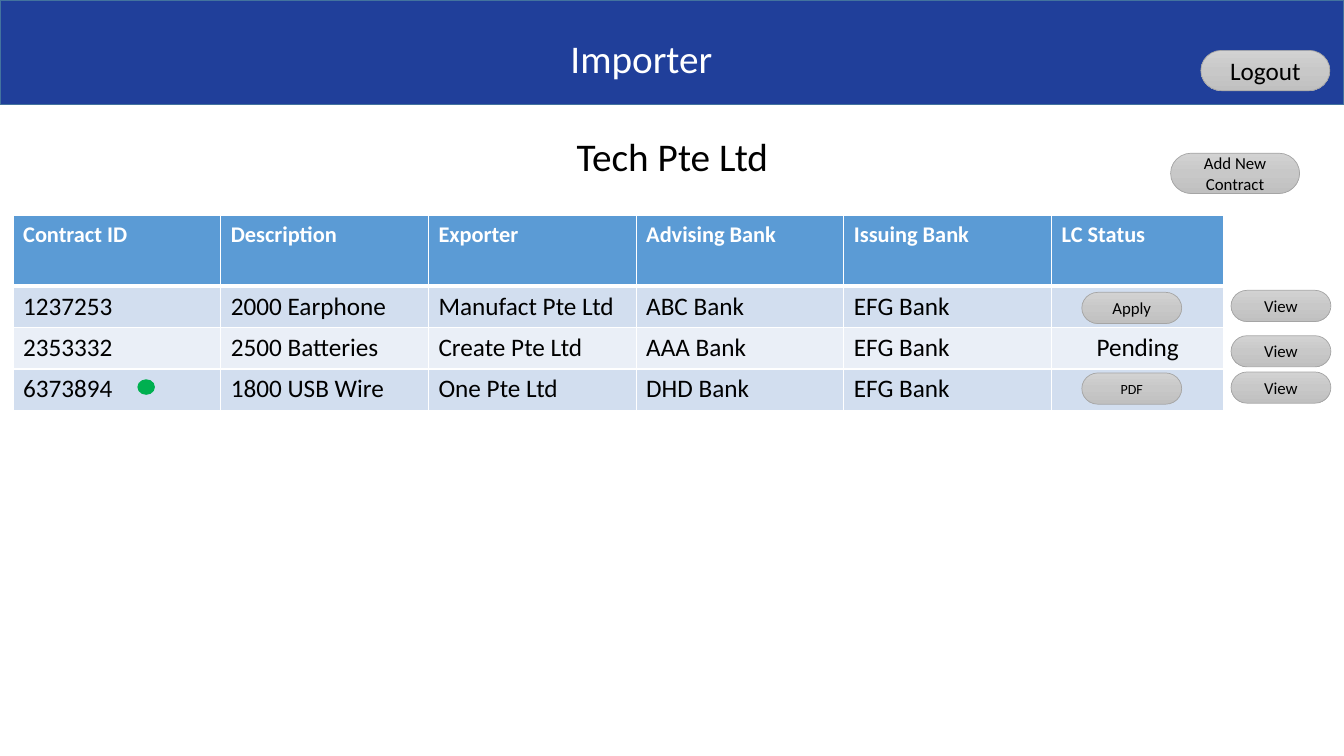
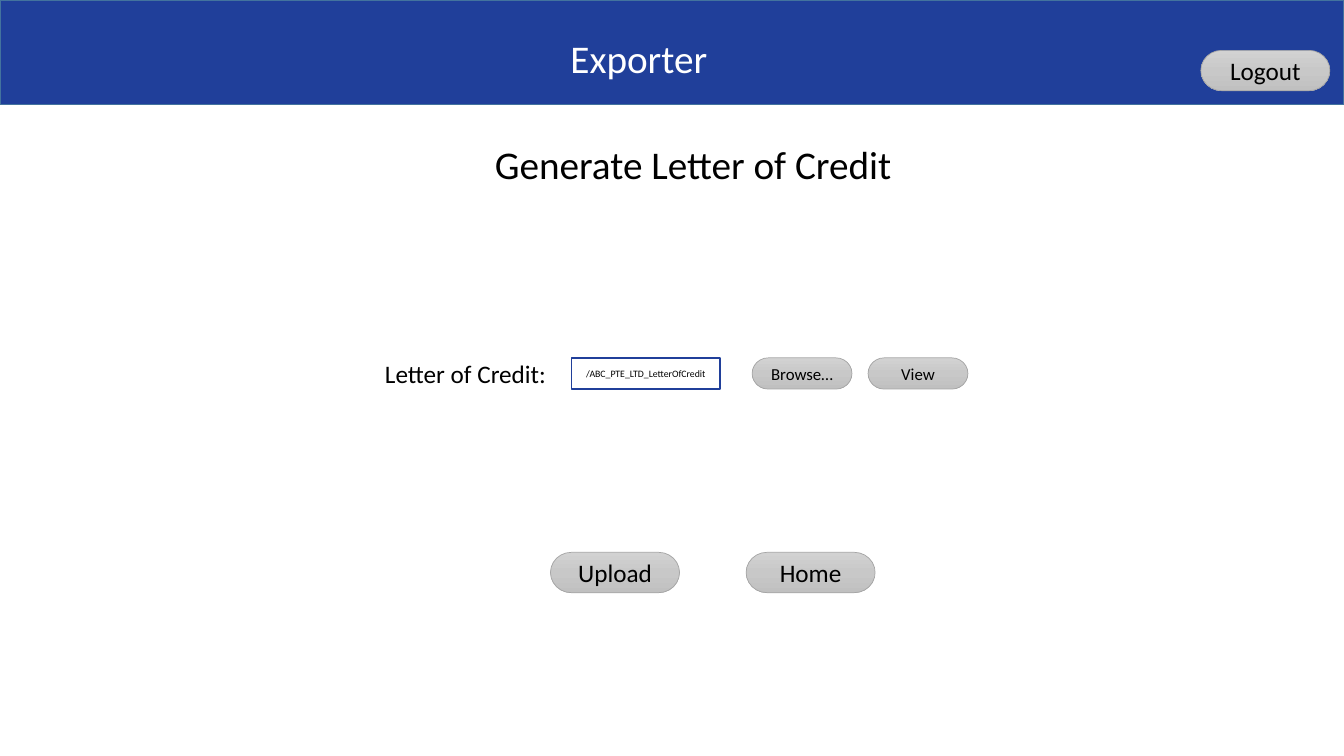
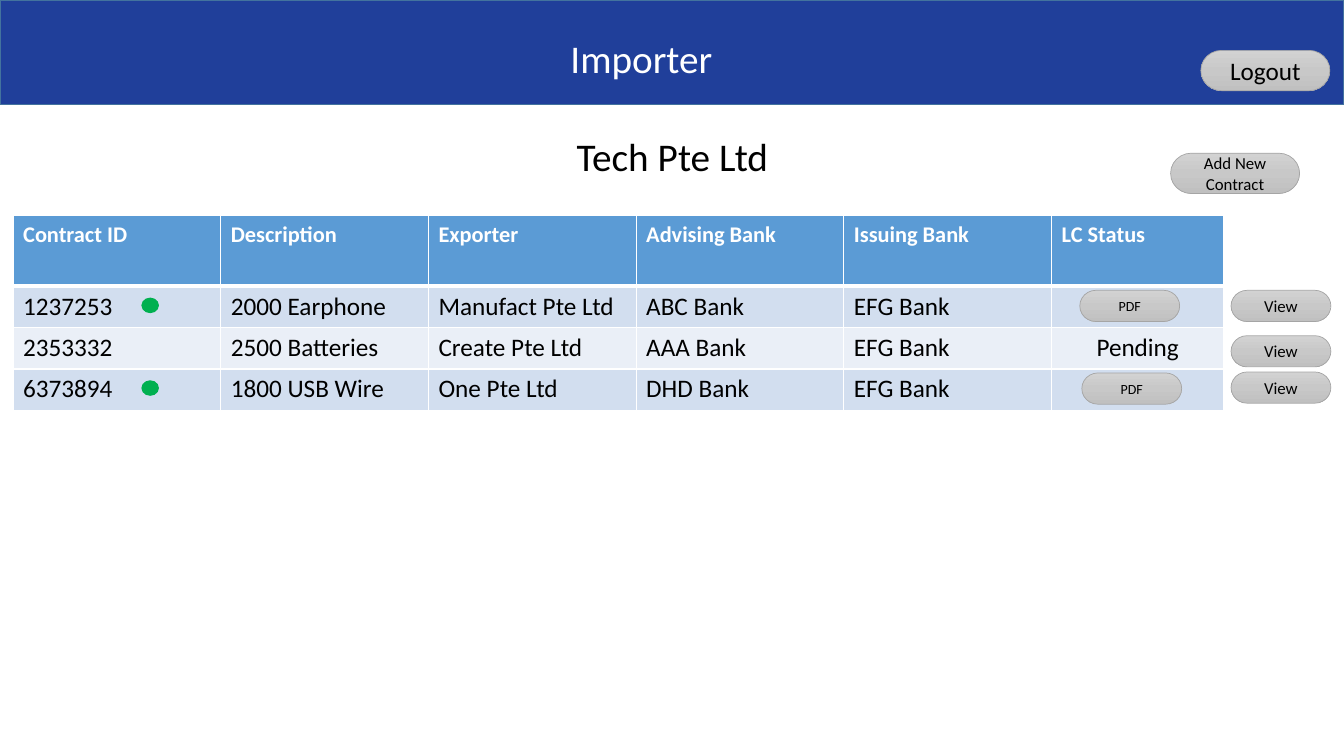
from copy import deepcopy

from lxml import etree
from pptx import Presentation
from pptx.dml.color import RGBColor
from pptx.enum.shapes import MSO_SHAPE
from pptx.enum.text import MSO_ANCHOR, PP_ALIGN
from pptx.oxml.ns import qn
from pptx.util import Inches, Pt

RECT, OVAL, PILL = MSO_SHAPE.RECTANGLE, MSO_SHAPE.OVAL, MSO_SHAPE.FLOWCHART_TERMINATOR
LEFT, CENTER, MIDDLE = PP_ALIGN.LEFT, PP_ALIGN.CENTER, MSO_ANCHOR.MIDDLE

HUES = {
    "band": "203F9A", "edge": "43739E", "head": "5B9BD5", "odd": "D2DEEF",
    "even": "EAEFF7", "rim": "A5A5A5", "dot": "00B050", "ink": "000000", "white": "FFFFFF",
}
SHADES = ((0, "D2D2D2"), (0.5, "C8C8C8"), (1, "C0C0C0"))
BIG, SMALL = (1.28, 0.4), (0.99, 0.31)
COLS = [2.06] * 5 + [1.71]
ROWS = [0.7] + [0.41] * 3
DEALS = [
    ["Contract ID", "Description", "Exporter", "Advising Bank", "Issuing Bank", "LC Status"],
    ["1237253", "2000 Earphone", "Manufact Pte Ltd", "ABC Bank", "EFG Bank", ""],
    ["2353332", "2500 Batteries", "Create Pte Ltd", "AAA Bank", "EFG Bank", "Pending"],
    ["6373894", "1800 USB Wire", "One Pte Ltd", "DHD Bank", "EFG Bank", ""],
]


def rgb(hue):
    return RGBColor.from_string(HUES.get(hue, hue))


class Deck:
    """Holds the shared style and the slide being drawn."""

    def __init__(self):
        self.show = Presentation()
        self.show.slide_width, self.show.slide_height = Inches(13.33), Inches(7.5)
        self.slide = None

    def put(self, frame, text, size, hue="ink", align=LEFT, **look):
        para = frame.paragraphs[0]
        para.alignment = align
        run = para.add_run()
        run.text = text
        for name, value in {"name": "Calibri", "size": Pt(size), "bold": False, **look}.items():
            setattr(run.font, name, value)
        run.font.color.rgb = rgb(hue)
        return para

    def shape(self, kind, box, fill=None, line="edge", width=1):
        item = self.slide.shapes.add_shape(kind, *map(Inches, box))
        item.shadow.inherit = False
        if fill:
            item.fill.solid()
            item.fill.fore_color.rgb = rgb(fill)
        else:
            item.fill.background()
        item.line.color.rgb = rgb(line)
        item.line.width = Pt(width)
        return item

    def label(self, item, text, size):
        frame = item.text_frame
        frame.word_wrap = True
        frame.vertical_anchor = MIDDLE
        self.put(frame, text, size, align=CENTER)

    def button(self, text, left, top, dims=SMALL, size=12):
        item = self.shape(PILL, (left, top, *dims), line="rim", width=0.5)
        item.fill.gradient()
        item.fill.gradient_angle = 270
        first = item._element.spPr.find(".//" + qn("a:gs"))
        first.addnext(deepcopy(first))
        for stop, (spot, hue) in zip(item.fill.gradient_stops, SHADES):
            stop.position = spot
            stop.color.rgb = rgb(hue)
        self.label(item, text, size)

    def field(self, text, box):
        self.label(self.shape(RECT, box, line="band"), text, 7)

    def text(self, text, left, top, width, size=28, hue="ink"):
        box = self.slide.shapes.add_textbox(*map(Inches, (left, top, width, 0.4)))
        box.text_frame.word_wrap = True
        self.put(box.text_frame, text, size, hue).line_spacing = 0.9

    def dot(self, left, top):
        self.shape(OVAL, (left, top, 0.16, 0.14), "dot", "dot")

    def page(self, role):
        self.slide = self.show.slides.add_slide(self.show.slide_layouts[6])
        self.shape(RECT, (0, 0, 13.33, 1.04), "band")
        self.text(role, 5.56, 0.34, 1.77, hue="white")
        self.button("Logout", 11.91, 0.5, BIG, 18)

    def border(self, cell, row):
        props = cell._tc.get_or_add_tcPr()
        thick = {0: "lnB", 1: "lnT"}.get(row)
        for side in ("lnL", "lnR", "lnT", "lnB"):
            width = Pt(3 if side == thick else 1)
            line = etree.SubElement(props, qn("a:" + side), w=str(width))
            fill = etree.SubElement(line, qn("a:solidFill"))
            etree.SubElement(fill, qn("a:srgbClr"), val=HUES["white"])

    def table(self, data, left, top):
        dims = map(Inches, (left, top, sum(COLS), sum(ROWS)))
        grid = self.slide.shapes.add_table(len(ROWS), len(COLS), *dims).table
        for col, width in zip(grid.columns, COLS):
            col.width = Inches(width)
        for row, (line, high) in enumerate(zip(data, ROWS)):
            grid.rows[row].height = Inches(high)
            head = row == 0
            look = {"size": 16, "hue": "white", "bold": True} if head else {"size": 18}
            for col, text in enumerate(line):
                cell = grid.cell(row, col)
                self.border(cell, row)
                cell.fill.solid()
                cell.fill.fore_color.rgb = rgb("head" if head else "odd" if row % 2 else "even")
                if text:
                    last = not head and col == len(COLS) - 1
                    self.put(cell.text_frame, text, align=CENTER if last else LEFT, **look)

    def deals(self, first, dots):
        self.page("Importer")
        self.text("Tech Pte Ltd", 5.62, 1.32, 2.68)
        self.button("Add New Contract", 11.61, 1.52, BIG)
        self.table(DEALS, 0.13, 2.14)
        for top in (2.88, 3.33, 3.69):
            self.button("View", 12.21, top)
        self.button(**first)
        self.button("PDF", 10.73, 3.7, size=10)
        for spot in dots:
            self.dot(*spot)

    def credit(self):
        self.page("Exporter")
        self.text("Generate Letter of Credit", 4.81, 1.4, 4.85)
        self.text("Letter of Credit:", 3.72, 3.54, 2.5, 18)
        self.field("/ABC_PTE_LTD_LetterOfCredit", (5.67, 3.55, 1.47, 0.31))
        for text, left in (("Browse…", 7.46), ("View", 8.61)):
            self.button(text, left, 3.55)
        for text, left in (("Upload", 5.46), ("Home", 7.4)):
            self.button(text, left, 5.48, BIG, 18)


def main():
    deck = Deck()
    deck.deals({"text": "Apply", "left": 10.73, "top": 2.9}, [(1.37, 3.77)])
    deck.credit()
    deck.deals(
        {"text": "PDF", "left": 10.71, "top": 2.88, "size": 10},
        [(1.41, 2.96), (1.41, 3.78)],
    )
    deck.show.save("out.pptx")


if __name__ == "__main__":
    main()
